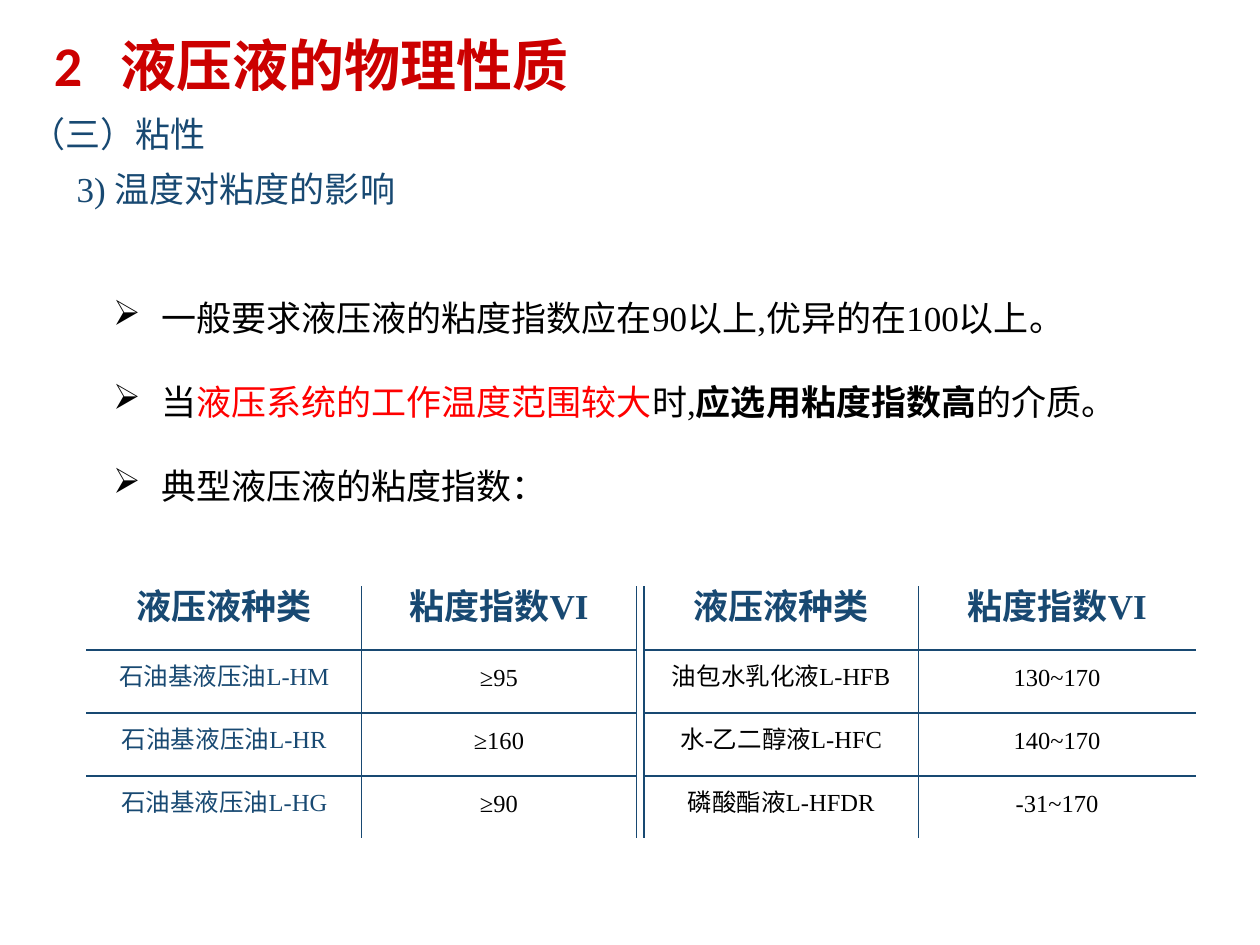
from lxml.etree import SubElement
from pptx import Presentation
from pptx.dml.color import RGBColor
from pptx.enum.text import MSO_ANCHOR, PP_ALIGN
from pptx.oxml.ns import qn
from pptx.util import Inches, Pt

THEME = {
    "title": "CC0000", "blue": "184972", "black": "000000", "red": "FF0000", "white": "FFFFFF",
    "title_font": "Calibri", "body_font": "Times New Roman",
    "title_size": 32, "body_size": 20, "cell_size": 14,
}
TITLE = "2\t液压液的物理性质"
HEADINGS = [
    ("（三）粘性", (0.12, 0.84, 1.63, 0.44), PP_ALIGN.CENTER),
    ("3) 温度对粘度的影响", (0.51, 1.28, 4.68, 0.44), PP_ALIGN.LEFT),
]
POINTS = [
    [("一般要求液压液的粘度指数应在90以上,优异的在100以上。", "black", False)],
    [("当", "black", False), ("液压系统的工作温度范围较大", "red", False), ("时,", "black", False),
     ("应选用粘度指数高", "black", True), ("的介质。", "black", False)],
    [("典型液压液的粘度指数：", "black", False)],
]
ROWS = [
    ("液压液种类", "粘度指数VI", "", "液压液种类", "粘度指数VI"),
    ("石油基液压油L-HM", "≥95", "", "油包水乳化液L-HFB", "130~170"),
    ("石油基液压油L-HR", "≥160", "", "水-乙二醇液L-HFC", "140~170"),
    ("石油基液压油L-HG", "≥90", "", "磷酸酯液L-HFDR", "-31~170"),
]
COLUMN_WIDTHS = [2.18, 2.18, 0.06, 2.18, 2.2]
ROW_HEIGHT = 0.5
SPACER = 2


def style(font, color, size="body_size", bold=False, name="body_font"):
    font.name = THEME[name]
    font.size = Pt(THEME[size])
    font.bold = bold
    font.color.rgb = RGBColor.from_string(THEME[color])


def add_text_frame(slide, box):
    frame = slide.shapes.add_textbox(*map(Inches, box)).text_frame
    frame.word_wrap = True
    return frame


def set_indent(paragraph, indent):
    properties = paragraph._p.get_or_add_pPr()
    properties.set("marL", str(Inches(indent)))
    properties.set("indent", str(-Inches(indent)))
    return properties


def add_title(slide):
    paragraph = add_text_frame(slide, (0.33, 0.19, 9.34, 0.79)).paragraphs[0]
    set_indent(paragraph, 0.53)
    paragraph.text = TITLE
    style(paragraph.runs[0].font, "title", "title_size", True, "title_font")


def add_headings(slide):
    for text, box, alignment in HEADINGS:
        paragraph = add_text_frame(slide, box).paragraphs[0]
        paragraph.text = text
        paragraph.alignment = alignment
        style(paragraph.runs[0].font, "blue")


def add_points(slide):
    frame = add_text_frame(slide, (0.8, 1.97, 8.41, 2.01))
    for index, point in enumerate(POINTS):
        paragraph = frame.add_paragraph() if index else frame.paragraphs[0]
        properties = set_indent(paragraph, 0.38)
        SubElement(properties, qn("a:buChar"), char="➢")
        paragraph.line_spacing = 2.0
        for text, color, bold in point:
            run = paragraph.add_run()
            run.text = text
            style(run.font, color, bold=bold)


def set_borders(cell, row, column):
    last_row, last_column = len(ROWS) - 1, len(COLUMN_WIDTHS) - 1
    white_edges = {
        "L": column == 0,
        "R": column == last_column,
        "T": row == 0 or column == SPACER,
        "B": row == last_row or column == SPACER,
    }
    properties = cell._tc.get_or_add_tcPr()
    for side, is_white in white_edges.items():
        line = SubElement(properties, qn(f"a:ln{side}"), w=str(Pt(1)))
        fill = SubElement(line, qn("a:solidFill"))
        SubElement(fill, qn("a:srgbClr"), val=THEME["white" if is_white else "blue"])


def add_viscosity_table(slide):
    table = slide.shapes.add_table(
        len(ROWS), len(COLUMN_WIDTHS), Inches(0.69), Inches(4.66),
        Inches(sum(COLUMN_WIDTHS)), Inches(ROW_HEIGHT * len(ROWS))).table
    table.first_row = False
    table.horz_banding = False
    for column, width in zip(table.columns, COLUMN_WIDTHS):
        column.width = Inches(width)
    for row_index, values in enumerate(ROWS):
        table.rows[row_index].height = Inches(ROW_HEIGHT)
        is_header = row_index == 0
        for column_index, value in enumerate(values):
            cell = table.cell(row_index, column_index)
            set_borders(cell, row_index, column_index)
            cell.fill.background()
            cell.margin_left = cell.margin_right = cell.margin_top = cell.margin_bottom = 0
            cell.vertical_anchor = MSO_ANCHOR.MIDDLE
            if not value:
                continue
            paragraph = cell.text_frame.paragraphs[0]
            paragraph.text = value
            paragraph.alignment = PP_ALIGN.CENTER
            paragraph.line_spacing = Pt(12)
            style(paragraph.runs[0].font,
                  "blue" if is_header or column_index == 0 else "black",
                  "body_size" if is_header else "cell_size", is_header)
    table.cell(0, SPACER).merge(table.cell(len(ROWS) - 1, SPACER))


def main():
    presentation = Presentation()
    presentation.slide_width = Inches(10)
    presentation.slide_height = Inches(7.5)
    slide = presentation.slides.add_slide(presentation.slide_layouts[6])
    add_title(slide)
    add_headings(slide)
    add_points(slide)
    add_viscosity_table(slide)
    presentation.save("out.pptx")


if __name__ == "__main__":
    main()
